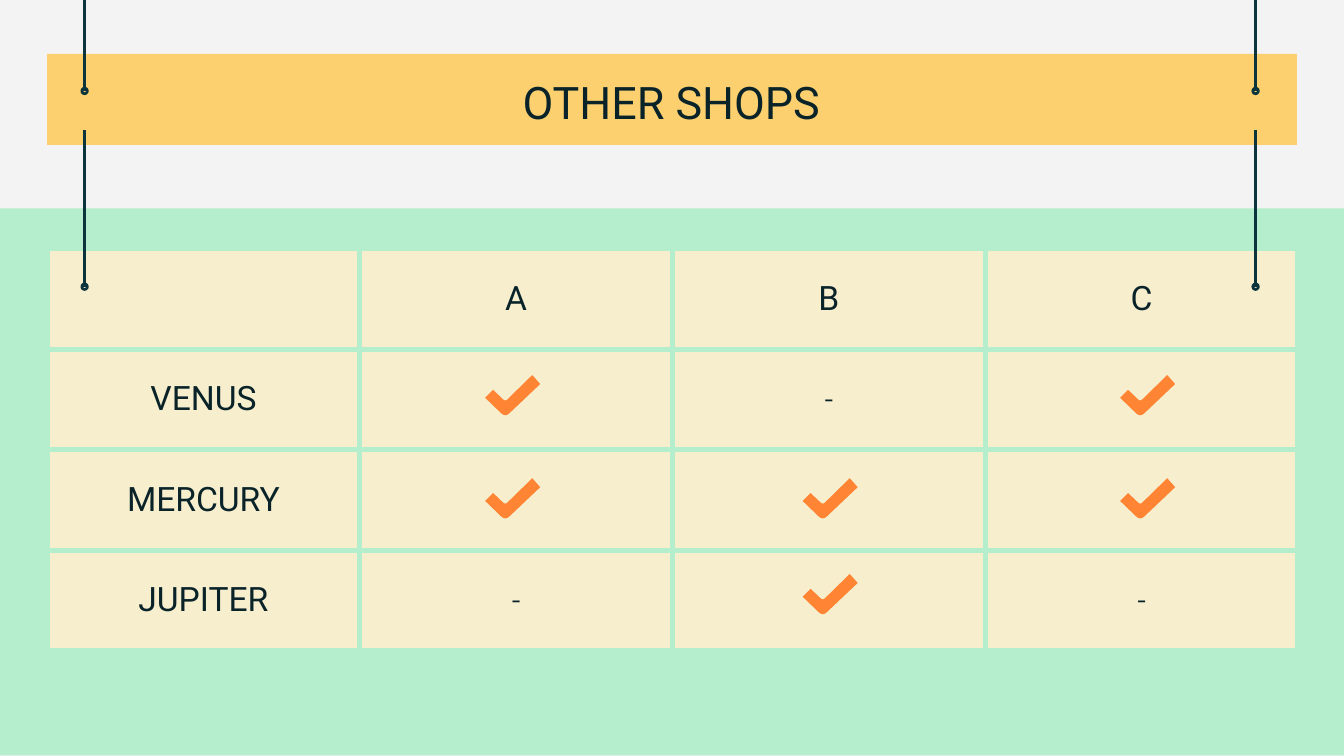
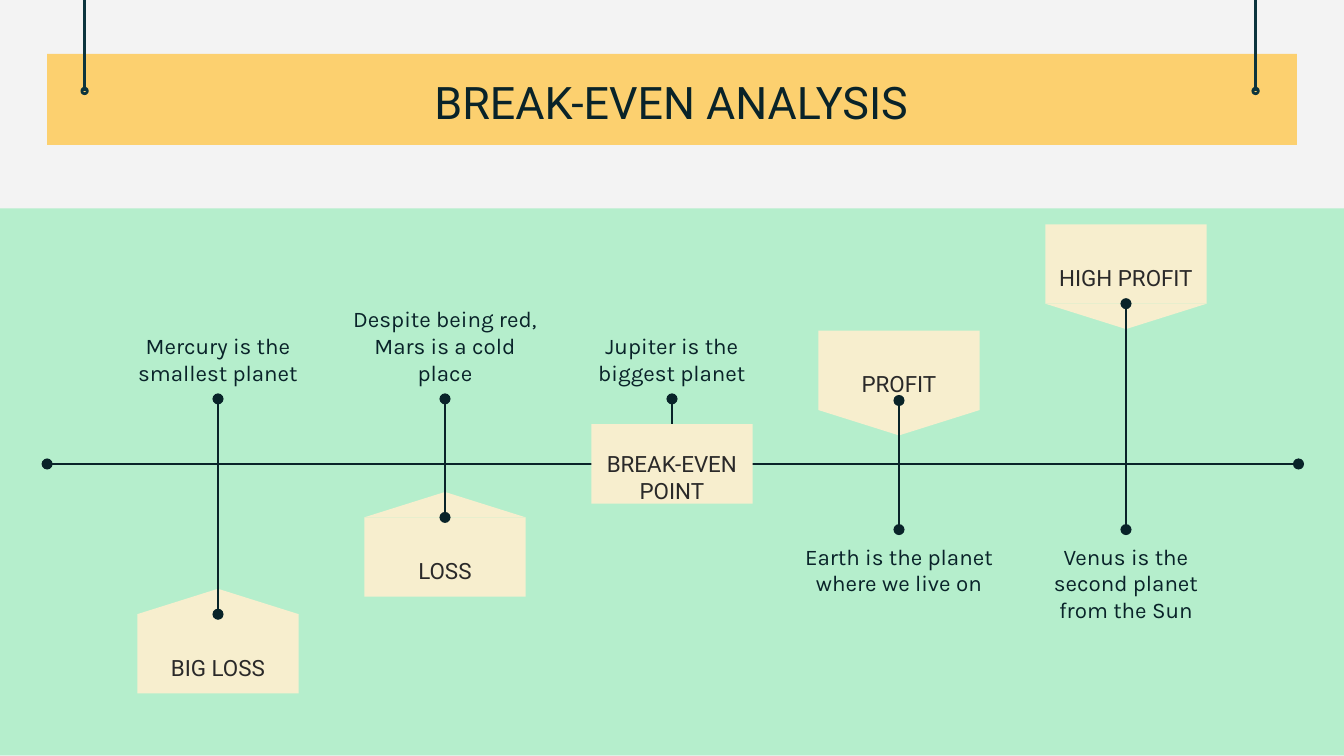
from dataclasses import dataclass

from lxml import etree
from pptx import Presentation
from pptx import util as u
from pptx.dml.color import RGBColor
from pptx.enum import shapes, text
from pptx.oxml import ns

# Palette
PAPER = RGBColor(0xF3, 0xF3, 0xF3)
MINT = RGBColor(0xB5, 0xEE, 0xCC)
YELLOW = RGBColor(0xFC, 0xD0, 0x6F)
CREAM = RGBColor(0xF7, 0xEE, 0xCE)
ORANGE = RGBColor(0xFF, 0x84, 0x33)
TEAL = RGBColor(0x0C, 0x34, 0x3D)
INK = RGBColor(0x09, 0x23, 0x29)
CHARCOAL = RGBColor(0x2A, 0x29, 0x29)

TOP, MIDDLE, BOTTOM = (
    text.MSO_ANCHOR.TOP, text.MSO_ANCHOR.MIDDLE, text.MSO_ANCHOR.BOTTOM)


@dataclass(frozen=True)
class Box:
    """Left, top, width and height in centimetres."""
    left: float
    top: float
    width: float
    height: float

    def emu(self) -> tuple:
        return tuple(
            u.Cm(v) for v in (self.left, self.top, self.width, self.height))


@dataclass(frozen=True)
class TextStyle:
    font: str
    size: int
    color: RGBColor = INK


@dataclass(frozen=True)
class Shop:
    name: str
    check_top: float
    available: tuple


@dataclass(frozen=True)
class Milestone:
    label: str
    caption: str
    box_top: float
    stem_end: float
    roof: str = ""
    caption_below: bool = False


TITLE = TextStyle("Roboto", 24)
HEADING = TextStyle("Roboto", 18)
DASH = TextStyle("Karla", 14)
LABEL = TextStyle("Roboto", 12, CHARCOAL)
CAPTION = TextStyle("Karla", 12)

# Shared frame
SLIDE_W, SLIDE_H = 25.4, 14.29
FIELD = Box(-0.08, 3.94, 25.53, 10.34)
BANNER = Box(0.89, 1.02, 23.62, 1.72)
TITLE_BOX = Box(3.81, 1.17, 17.75, 1.6)
CORD_XS = (1.6, 23.73)
RING = 0.13

# Shop table
SHOP_TABLE = Box(0.89, 4.7, 23.64, 7.6)
COLUMN_HEADS = ("", "A", "B", "C")
SHOPS = (
    Shop("VENUS", 7.09, (True, False, True)),
    Shop("MERCURY", 9.04, (True, True, True)),
    Shop("JUPITER", 10.85, (False, True, False)),
)
CHECK_LEFT, CHECK_STEP = 9.17, 6
# Outline of the check mark in hundredths of a centimetre
CHECK = ((89, 0), (41, 47), (38, 48), (35, 47), (15, 28), (0, 43), (30, 72),
         (34, 75), (38, 76), (42, 75), (46, 72), (104, 17))

# Timeline
AXIS_Y = 8.77
FIRST_X, STEP_X = 4.12, 4.29
BOX_W, BOX_H, ROOF_H = 3.05, 1.5, 0.48
CAPTION_W, CAPTION_H = 4.24, 1.4
UPPER_DOT, LOWER_DOT = 7.54, 10.01
MILESTONES = (
    Milestone("BIG LOSS", "Mercury is the smallest planet", 11.61, 11.61, "up"),
    Milestone("LOSS", "Despite being red, Mars is a cold place",
              9.78, 9.78, "up"),
    Milestone("BREAK-EVEN POINT", "Jupiter is the biggest planet", 8.02, 8.02),
    Milestone("PROFIT", "Earth is the planet where we live on",
              6.25, 7.57, "down", True),
    Milestone("HIGH PROFIT", "Venus is the second planet from the Sun",
              4.24, 5.74, "down", True),
)


# Drawing helpers
def write(frame, words: str, style: TextStyle, anchor=None,
          margins=(0.25, 0.25, 0.25, 0.25)) -> None:
    """Fill a text frame with one centred paragraph."""
    frame.text = words
    if anchor is not None:
        frame.word_wrap = True
        frame.auto_size = text.MSO_AUTO_SIZE.NONE
        frame.vertical_anchor = anchor
        (frame.margin_left, frame.margin_top,
         frame.margin_right, frame.margin_bottom) = map(u.Cm, margins)
    paragraph = frame.paragraphs[0]
    paragraph.alignment = text.PP_ALIGN.CENTER
    for run in paragraph.runs:
        run.font.name = style.font
        run.font.size = u.Pt(style.size)
        run.font.color.rgb = style.color


def paint(shape, color: RGBColor):
    shape.shadow.inherit = False
    shape.fill.solid()
    shape.fill.fore_color.rgb = color
    shape.line.fill.background()
    return shape


def add_block(slide, box: Box, color: RGBColor,
              kind=shapes.MSO_SHAPE.RECTANGLE):
    return paint(slide.shapes.add_shape(kind, *box.emu()), color)


def add_line(slide, start: tuple, end: tuple, color: RGBColor, width: float,
             dots: tuple = ()) -> None:
    """Draw a line; dots names the ends ("head", "tail") that get a disc."""
    line = slide.shapes.add_connector(
        shapes.MSO_CONNECTOR.STRAIGHT, *map(u.Cm, start + end))
    line.line.color.rgb = color
    line.line.width = u.Pt(width)
    stroke = line.line._get_or_add_ln()
    for dot in dots:
        etree.SubElement(stroke, ns.qn(f"a:{dot}End"), type="oval")
    etree.SubElement(line._element.spPr, ns.qn("a:effectLst"))


def add_cords(slide, top: float, bottom: float) -> None:
    """Hang a pair of cords, each ending in a small ring."""
    for x in CORD_XS:
        add_line(slide, (x, top), (x, bottom), TEAL, 1.25)
        ring = add_block(
            slide, Box(x - RING / 2, bottom - RING / 2, RING, RING),
            TEAL, shapes.MSO_SHAPE.DONUT)
        ring.adjustments[0] = 0.2
        ring.line.color.rgb = TEAL
        ring.line.width = u.Pt(0.75)


def add_framed_slide(prs, heading: str):
    slide = prs.slides.add_slide(prs.slide_layouts[5])
    slide.background.fill.solid()
    slide.background.fill.fore_color.rgb = PAPER
    add_block(slide, FIELD, MINT)
    add_block(slide, BANNER, YELLOW)
    add_cords(slide, 0, 1.72)
    title = slide.shapes.title
    title.left, title.top, title.width, title.height = TITLE_BOX.emu()
    write(title.text_frame, heading, TITLE, TOP)
    slide.shapes._spTree.append(title._element)  # in front of the banner
    return slide


# Shop table parts
def style_cell(cell, words: str) -> None:
    properties = cell._tc.get_or_add_tcPr()
    for side in "LRTB":
        border = etree.SubElement(
            properties, ns.qn(f"a:ln{side}"), w=str(u.Pt(3)))
        fill = etree.SubElement(border, ns.qn("a:solidFill"))
        etree.SubElement(fill, ns.qn("a:srgbClr"), val=str(MINT))
    cell.fill.solid()
    cell.fill.fore_color.rgb = CREAM
    cell.vertical_anchor = MIDDLE
    cell.margin_left = cell.margin_right = u.Cm(0.25)
    cell.margin_top = cell.margin_bottom = u.Cm(0.25)
    if words:
        write(cell.text_frame, words, DASH if words == "-" else HEADING)


def add_check(slide, left: float, top: float) -> None:
    outline = slide.shapes.build_freeform(*CHECK[0], scale=u.Cm(0.01))
    outline.add_line_segments(CHECK[1:], close=True)
    paint(outline.convert_to_shape(u.Cm(left), u.Cm(top)), ORANGE)


def build_shops(prs) -> None:
    slide = add_framed_slide(prs, "OTHER SHOPS")
    rows = [COLUMN_HEADS] + [
        (shop.name, *("" if has else "-" for has in shop.available))
        for shop in SHOPS]
    grid = slide.shapes.add_table(
        len(rows), len(COLUMN_HEADS), *SHOP_TABLE.emu()).table
    grid.first_row = grid.horz_banding = False
    for r, row in enumerate(rows):
        for c, words in enumerate(row):
            style_cell(grid.cell(r, c), words)
    add_cords(slide, 2.46, 5.42)
    for shop in SHOPS:
        for c, has in enumerate(shop.available):
            if has:
                add_check(slide, CHECK_LEFT + c * CHECK_STEP, shop.check_top)


# Timeline parts
def add_milestone(slide, x: float, stop: Milestone) -> None:
    left = x - BOX_W / 2
    if stop.roof:
        up = stop.roof == "up"
        roof_top = stop.box_top + (-ROOF_H if up else BOX_H)
        roof = add_block(slide, Box(left, roof_top, BOX_W, ROOF_H), CREAM,
                         shapes.MSO_SHAPE.ISOSCELES_TRIANGLE)
        roof.rotation = 0 if up else 180

    label = add_block(slide, Box(left, stop.box_top, BOX_W, BOX_H), CREAM)
    write(label.text_frame, stop.label, LABEL, MIDDLE, (0.25, 0.51, 0.25, 0))
    label.text_frame.paragraphs[0].space_after = u.Pt(16)

    stem_start = LOWER_DOT if stop.caption_below else UPPER_DOT
    caption_top = stem_start if stop.caption_below else stem_start - CAPTION_H
    caption = slide.shapes.add_textbox(
        *Box(x - CAPTION_W / 2, caption_top, CAPTION_W, CAPTION_H).emu())
    write(caption.text_frame, stop.caption, CAPTION,
          TOP if stop.caption_below else BOTTOM)

    add_line(slide, (x, stem_start), (x, stop.stem_end), INK, 1.5,
             ("head", "tail") if stop.roof else ("head",))


def build_break_even(prs) -> None:
    slide = add_framed_slide(prs, "BREAK-EVEN ANALYSIS")
    add_line(slide, (24.54, AXIS_Y), (0.89, AXIS_Y), INK, 1.5,
             ("head", "tail"))
    for i, stop in enumerate(MILESTONES):
        add_milestone(slide, FIRST_X + i * STEP_X, stop)


def main() -> None:
    prs = Presentation()
    prs.slide_width, prs.slide_height = u.Cm(SLIDE_W), u.Cm(SLIDE_H)
    build_shops(prs)
    build_break_even(prs)
    prs.save("out.pptx")


if __name__ == "__main__":
    main()
